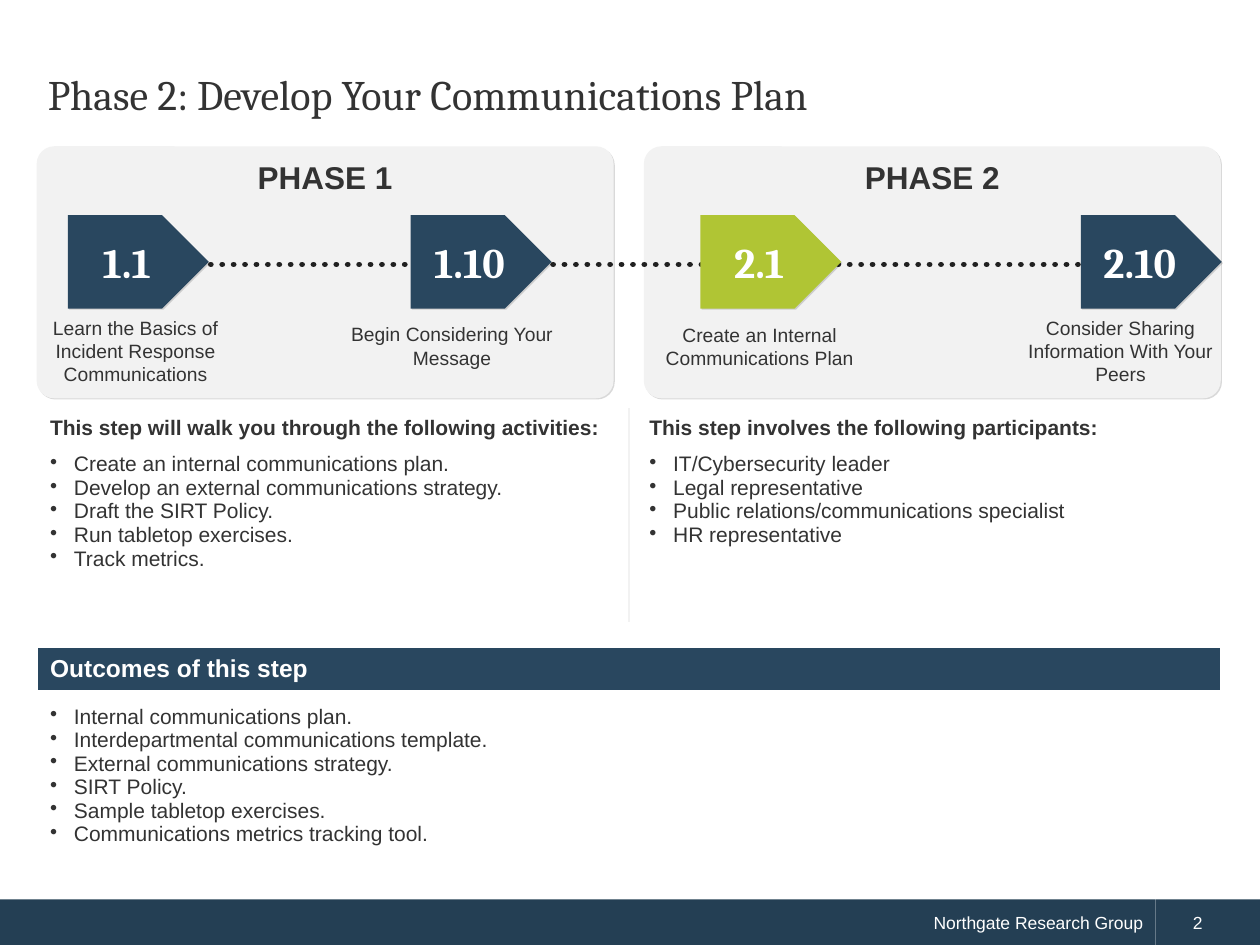
import pptx
import pptx.dml.color
import pptx.enum.dml
import pptx.enum.shapes
import pptx.enum.text
import pptx.oxml.ns
import pptx.util
from lxml import etree

Cm = pptx.util.Cm
Pt = pptx.util.Pt
RGBColor = pptx.dml.color.RGBColor
Align = pptx.enum.text.PP_ALIGN
Anchor = pptx.enum.text.MSO_ANCHOR
Shape = pptx.enum.shapes.MSO_SHAPE
qn = pptx.oxml.ns.qn

NAVY = RGBColor(0x29, 0x47, 0x5F)
FOOTER_NAVY = RGBColor(0x24, 0x3F, 0x54)
GREEN = RGBColor(0xB0, 0xC5, 0x34)
PALE = RGBColor(0xF2, 0xF2, 0xF2)
INK = RGBColor(0x33, 0x33, 0x33)
DOTS = RGBColor(0x21, 0x21, 0x21)
WHITE = RGBColor(0xFF, 0xFF, 0xFF)
NO_GRID_STYLE = "{2D5ABB26-0587-4C30-8999-92F81FD0307C}"

STEPS = [
    ("1.1", 1.37, NAVY, "Learn the Basics of Incident Response Communications", (0.64, 6.25, 4.19, 1.68)),
    ("1.10", 8.28, NAVY, "Begin Considering Your Message", (6.32, 6.38, 5.59, 1.19)),
    ("2.1", 14.12, GREEN, "Create an Internal Communications Plan", (13.08, 6.4, 4.47, 1.19)),
    ("2.10", 21.79, NAVY, "Consider Sharing Information With Your Peers", (20.42, 6.25, 4.34, 1.68)),
]
ACTIVITIES = [
    "Create an internal communications plan.",
    "Develop an external communications strategy.",
    "Draft the SIRT Policy.",
    "Run tabletop exercises.",
    "Track metrics.",
]
PARTICIPANTS = [
    "IT/Cybersecurity leader",
    "Legal representative",
    "Public relations/communications specialist",
    "HR representative",
]
OUTCOMES = [
    "Internal communications plan.",
    "Interdepartmental communications template.",
    "External communications strategy.",
    "SIRT Policy.",
    "Sample tabletop exercises.",
    "Communications metrics tracking tool.",
]


class PhaseSlide:
    """Hold the deck style and the slide, and add each kind of element to it."""

    def __init__(self, slide, body="Arial", heading="Cambria"):
        self.slide = slide
        self.body = body
        self.heading = heading

    def add_text(self, paragraph, text, size, color=INK, bold=False, font=None, align=Align.LEFT):
        paragraph.alignment = align
        run = paragraph.add_run()
        run.text = text
        run.font.size = Pt(size)
        run.font.name = font or self.body
        run.font.bold = bold
        run.font.color.rgb = color

    def title(self, text, box):
        heading = self.slide.shapes.title
        heading.left, heading.top, heading.width, heading.height = map(Cm, box)
        heading.text_frame.vertical_anchor = Anchor.MIDDLE
        line = heading.text_frame.paragraphs[0]
        line.line_spacing = Pt(26)
        self.add_text(line, text, 24, font=self.heading)

    def block(self, kind, box, fill, text, anchor=Anchor.MIDDLE, shadow=False, indent=0, **style):
        shape = self.slide.shapes.add_shape(kind, *map(Cm, box))
        shape.shadow.inherit = False
        shape.fill.solid()
        shape.fill.fore_color.rgb = fill
        shape.line.fill.background()
        if shadow:
            effects = shape._element.spPr.find(qn("a:effectLst"))
            outer = etree.SubElement(effects, qn("a:outerShdw"), blurRad="0", dist="12700", dir="2700000")
            tint = etree.SubElement(outer, qn("a:srgbClr"), val="000000")
            etree.SubElement(tint, qn("a:alpha"), val="14000")
        shape.text_frame.vertical_anchor = anchor
        line = shape.text_frame.paragraphs[0]
        self.add_text(line, text, **style)
        if indent:
            line._p.get_or_add_pPr().set("marL", str(Cm(indent)))
        return shape

    def label(self, box, text):
        frame = self.slide.shapes.add_textbox(*map(Cm, box)).text_frame
        frame.word_wrap = True
        self.add_text(frame.paragraphs[0], text, 11, align=Align.CENTER)

    def dotted_line(self, start, end, y):
        line = self.slide.shapes.add_connector(
            pptx.enum.shapes.MSO_CONNECTOR.STRAIGHT, Cm(start), Cm(y), Cm(end), Cm(y))
        line.line.color.rgb = DOTS
        line.line.width = Pt(3.25)
        line.line.dash_style = pptx.enum.dml.MSO_LINE.ROUND_DOT
        line.line._get_or_add_ln().set("cap", "rnd")
        etree.SubElement(line._element.spPr, qn("a:effectLst"))

    def table(self, left, top, columns, rows):
        frame = self.slide.shapes.add_table(
            len(rows), len(columns), Cm(left), Cm(top), Cm(sum(columns)), Cm(sum(rows)))
        table = frame.table
        table.first_row = table.horz_banding = False
        table._tbl.tblPr.find(qn("a:tableStyleId")).text = NO_GRID_STYLE
        for column, width in zip(table.columns, columns):
            column.width = Cm(width)
        for row, height in zip(table.rows, rows):
            row.height = Cm(height)
        for cell in table.iter_cells():
            cell.margin_left = cell.margin_right = Cm(0.25)
            cell.margin_top = cell.margin_bottom = Cm(0.13)
            cell.fill.background()
        return table

    def cell_heading(self, cell, text, size=12, color=INK, anchor=Anchor.BOTTOM):
        cell.vertical_anchor = anchor
        self.add_text(cell.text_frame.paragraphs[0], text, size, color, bold=True)

    def cell_list(self, cell, items):
        frame = cell.text_frame
        for index, item in enumerate(items):
            line = frame.add_paragraph() if index else frame.paragraphs[0]
            self.add_text(line, item, 12)
            props = line._p.get_or_add_pPr()
            props.set("marL", str(Cm(0.48)))
            props.set("indent", str(-Cm(0.48)))
            etree.SubElement(props, qn("a:buChar"), char="•")

    def cell_border(self, cell, side):
        edge = etree.Element(qn("a:" + side), w=str(Pt(1.5)))
        fill = etree.SubElement(edge, qn("a:solidFill"))
        etree.SubElement(fill, qn("a:srgbClr"), val=str(PALE))
        cell._tc.get_or_add_tcPr().insert(0, edge)


def main():
    deck = pptx.Presentation()
    deck.slide_width, deck.slide_height = Cm(25.4), Cm(19.05)
    page = PhaseSlide(deck.slides.add_slide(deck.slide_layouts[5]))

    page.block(Shape.RECTANGLE, (0, 18.13, 23.29, 0.92), FOOTER_NAVY, "Northgate Research Group",
               size=10, color=WHITE, align=Align.RIGHT)
    page.block(Shape.RECTANGLE, (23.29, 18.13, 2.11, 0.92), FOOTER_NAVY, "2",
               indent=0.51, size=10, color=WHITE)

    for name, left in (("PHASE 1", 0.74), ("PHASE 2", 12.98)):
        panel = page.block(Shape.ROUNDED_RECTANGLE, (left, 2.95, 11.63, 5.08), PALE, name,
                           Anchor.TOP, shadow=True, size=18, bold=True, align=Align.CENTER)
        panel.adjustments[0] = 0.07
    page.title("Phase 2: Develop Your Communications Plan", (0.71, 0.74, 23.95, 2.39))

    page.dotted_line(24.49, 2.72, 5.33)
    for number, left, fill, caption, caption_box in STEPS:
        page.block(Shape.PENTAGON, (left, 4.34, 2.84, 1.88), fill, number, shadow=True,
                   size=24, color=WHITE, bold=True, font=page.heading, align=Align.CENTER)
        page.label(caption_box, caption)

    overview = page.table(0.76, 8.23, [11.92, 11.92], [0.74, 3.53, 0.53, 0.84, 3.76])
    columns = [
        ("This step will walk you through the following activities:", ACTIVITIES, "lnR"),
        ("This step involves the following participants:", PARTICIPANTS, "lnL"),
    ]
    for index, (heading, items, side) in enumerate(columns):
        top, middle, spacer = (overview.cell(row, index) for row in range(3))
        page.cell_heading(top, heading)
        page.cell_list(middle, items)
        for cell in (top, middle):
            page.cell_border(cell, side)
            cell.margin_left = Cm(0.41 if index else 0.25)
        etree.SubElement(spacer.text_frame.paragraphs[0]._p, qn("a:endParaRPr"), sz="600")

    for row in (3, 4):
        overview.cell(row, 0).merge(overview.cell(row, 1))
    banner, outcomes = overview.cell(3, 0), overview.cell(4, 0)
    banner.fill.solid()
    banner.fill.fore_color.rgb = NAVY
    page.cell_heading(banner, "Outcomes of this step", 14, WHITE, Anchor.MIDDLE)
    outcomes.margin_top = Cm(0.3)
    page.cell_list(outcomes, OUTCOMES)

    deck.save("out.pptx")


if __name__ == "__main__":
    main()
